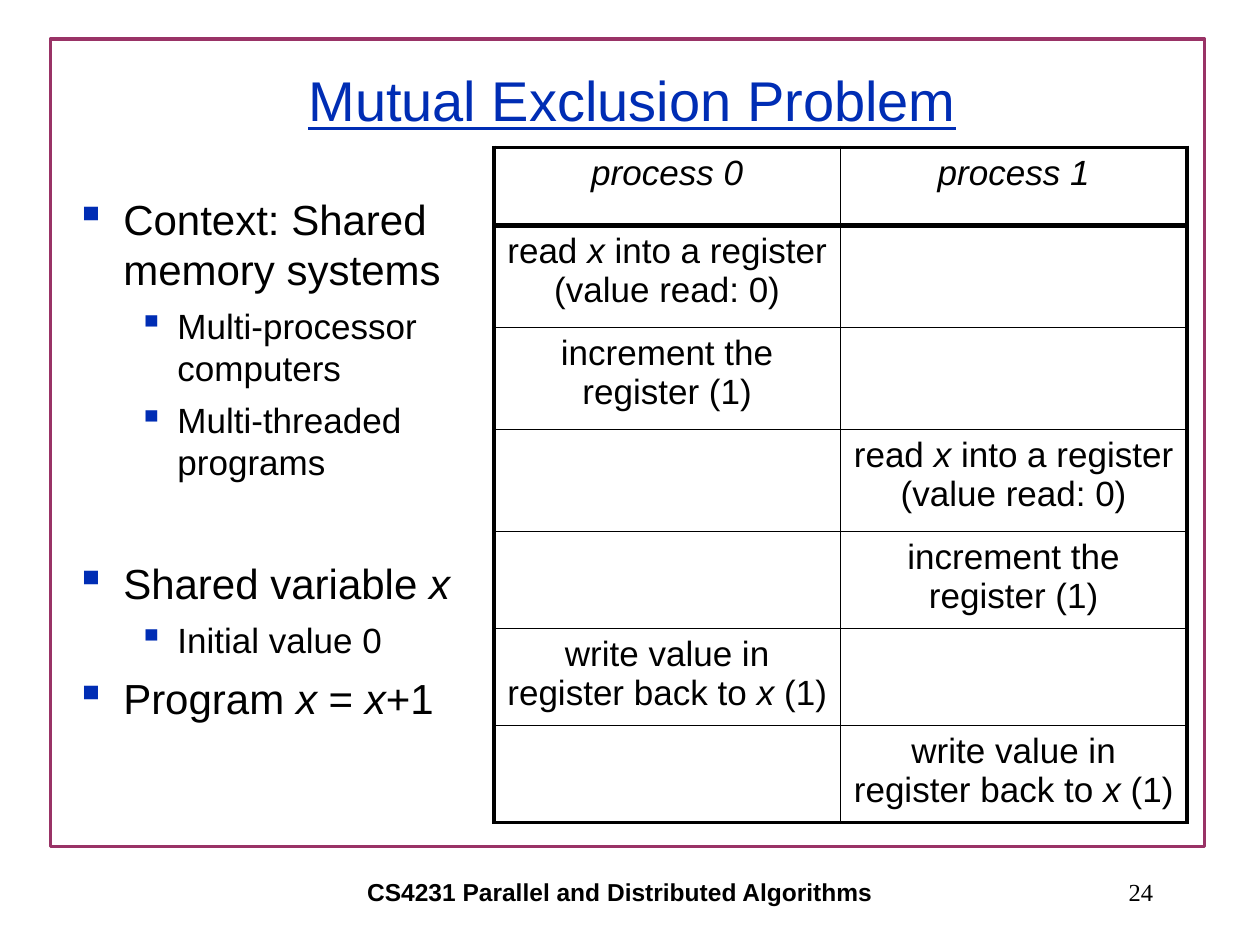
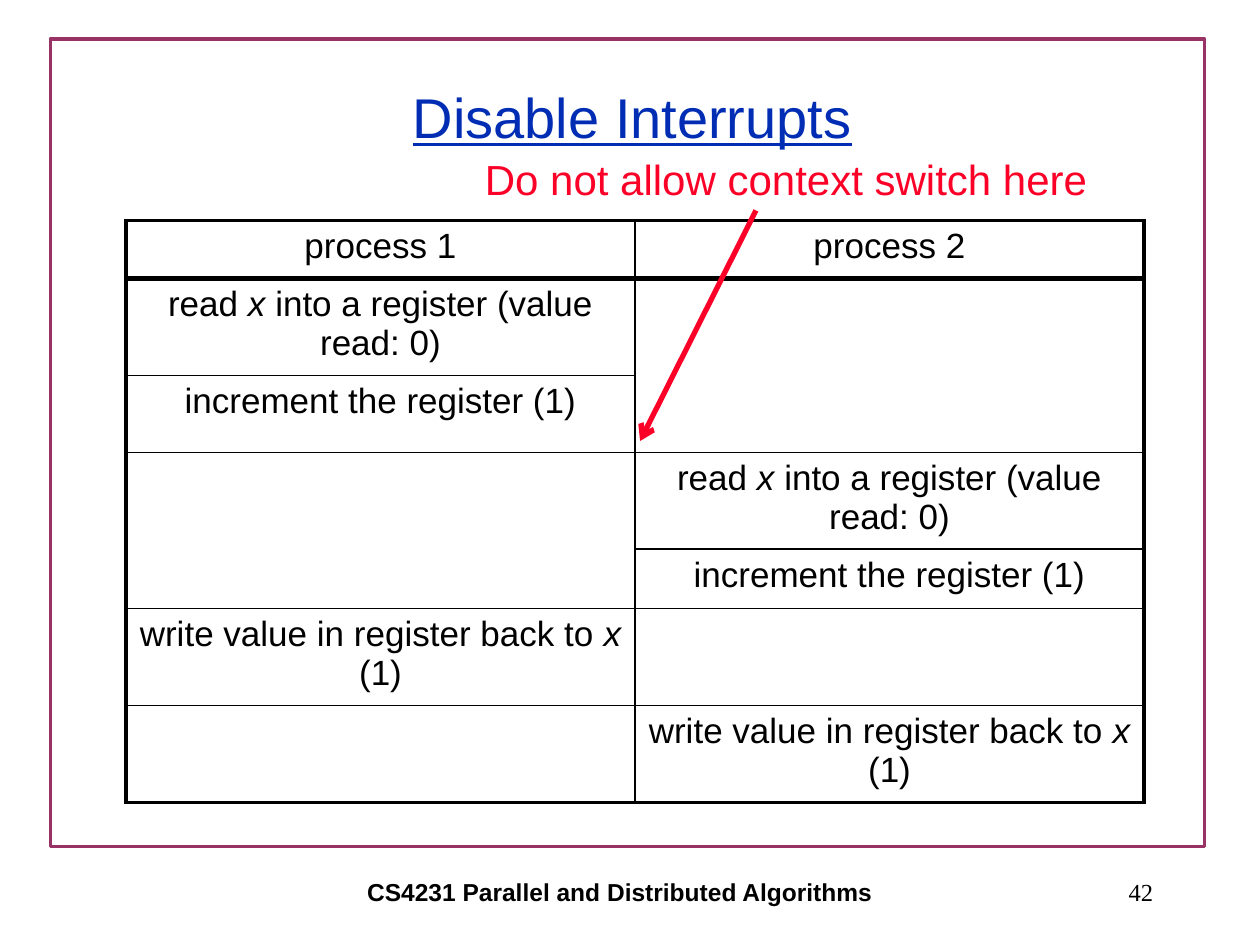
from dataclasses import dataclass

from lxml.etree import SubElement
from pptx import Presentation
from pptx.dml.color import RGBColor
from pptx.enum.shapes import MSO_CONNECTOR, MSO_SHAPE
from pptx.enum.text import MSO_ANCHOR, PP_ALIGN
from pptx.oxml import parse_xml
from pptx.oxml.ns import nsdecls, qn
from pptx.util import Emu, Pt

PX = 9144  # one px is a hundredth of an inch


def px(length):
    return Emu(length * PX)


@dataclass(frozen=True)
class Theme:
    ink: str = "000000"
    frame: str = "993366"
    accent: str = "002DB4"
    alert: str = "FC0128"
    sans: str = "Arial"
    serif: str = "Times New Roman"
    title_size: int = 32
    body_size: int = 24
    detail_size: int = 20
    footer_size: int = 14
    thin: float = 1
    outer: float = 2.25
    thick: float = 3


@dataclass(frozen=True)
class BulletLevel:
    size: int
    margin: int
    hanging: int
    line_height: float
    space_before: int


class Deck:
    def __init__(self, theme):
        self.theme = theme
        self.levels = (
            BulletLevel(theme.body_size, 38, 38, 28.5, 7),
            BulletLevel(theme.detail_size, 81, 31, 24, 6),
        )
        self.presentation = Presentation()
        self.presentation.slide_width = px(1000)
        self.presentation.slide_height = px(750)
        self.slide = None

    def new_slide(self, title, title_top, number):
        """Start a slide with its frame, title and footer."""
        theme = self.theme
        self.slide = self.presentation.slides.add_slide(self.presentation.slide_layouts[6])
        self.frame(40, 31, 916, 641)
        footer = dict(size=theme.footer_size, anchor=MSO_ANCHOR.MIDDLE)
        self.text((142, 683, 700, 50), "CS4231 Parallel and Distributed Algorithms",
                  align=PP_ALIGN.CENTER, bold=True, **footer)
        self.text((717, 683, 208, 50), str(number),
                  align=PP_ALIGN.RIGHT, name=theme.serif, **footer)
        self.text((77, title_top, 850, 92), title, align=PP_ALIGN.CENTER,
                  anchor=MSO_ANCHOR.MIDDLE, size=theme.title_size,
                  color=theme.accent, underline=True)

    def frame(self, *box):
        border = self.slide.shapes.add_shape(MSO_SHAPE.RECTANGLE, *map(px, box))
        border.shadow.inherit = False
        border.fill.background()
        border.line.color.rgb = RGBColor.from_string(self.theme.frame)
        border.line.width = Pt(2)

    def add_runs(self, paragraph, wording, size, color=None, **formats):
        """Add wording in which underscores enclose italic parts."""
        values = {"name": self.theme.sans, "size": Pt(size), **formats}
        for index, part in enumerate(wording.split("_")):
            if not part:
                continue
            run = paragraph.add_run()
            run.text = part
            for attribute, value in {**values, "italic": index % 2 == 1}.items():
                setattr(run.font, attribute, value)
            run.font.color.rgb = RGBColor.from_string(color or self.theme.ink)

    def text_frame(self, box, anchor=MSO_ANCHOR.TOP):
        frame = self.slide.shapes.add_textbox(*map(px, box)).text_frame
        frame.word_wrap = True
        frame.vertical_anchor = anchor
        return frame

    def text(self, box, wording, align=PP_ALIGN.LEFT, anchor=MSO_ANCHOR.TOP, **formats):
        paragraph = self.text_frame(box, anchor).paragraphs[0]
        paragraph.alignment = align
        self.add_runs(paragraph, wording, **formats)

    def bullets(self, box, items):
        """Each item is (level, wording, extra space before in points)."""
        frame = self.text_frame(box)
        for index, (depth, wording, extra) in enumerate(items):
            level = self.levels[depth]
            paragraph = frame.add_paragraph() if index else frame.paragraphs[0]
            properties = paragraph._p.get_or_add_pPr()
            properties.set("marL", str(px(level.margin)))
            properties.set("indent", str(-px(level.hanging)))
            color = SubElement(properties, qn("a:buClr"))
            SubElement(color, qn("a:srgbClr"), val=self.theme.accent)
            SubElement(properties, qn("a:buChar"), char="▪")
            paragraph.line_spacing = Pt(level.line_height)
            paragraph.space_before = Pt(level.space_before + extra if index else 0)
            self.add_runs(paragraph, wording, level.size)

    def table(self, left, top, column_width, row_heights, rows, merges=()):
        theme = self.theme
        columns = len(rows[0])
        grid = self.slide.shapes.add_table(
            len(rows), columns, px(left), px(top),
            px(column_width * columns), px(sum(row_heights))).table
        grid.first_row = grid.horz_banding = False
        for column in grid.columns:
            column.width = px(column_width)
        for row, height in zip(grid.rows, row_heights):
            row.height = px(height)

        # Outer edges are heavy, the rule under the header heaviest
        across = [theme.outer, theme.thick] + [theme.thin] * (len(rows) - 2) + [theme.outer]
        down = [theme.outer] + [theme.thin] * (columns - 1) + [theme.outer]
        for r, wordings in enumerate(rows):
            for c, wording in enumerate(wordings):
                cell = grid.cell(r, c)
                cell.fill.background()
                self.cell_borders(cell, L=down[c], R=down[c + 1], T=across[r], B=across[r + 1])
                if wording:
                    paragraph = cell.text_frame.paragraphs[0]
                    paragraph.alignment = PP_ALIGN.CENTER
                    self.add_runs(paragraph, wording, theme.detail_size)
        for first, last in merges:
            grid.cell(*first).merge(grid.cell(*last))

    def cell_borders(self, cell, **widths):
        properties = cell._tc.get_or_add_tcPr()
        for index, (side, width) in enumerate(widths.items()):
            properties.insert(index, parse_xml(
                f'<a:ln{side} {nsdecls("a")} w="{Pt(width)}"><a:solidFill>'
                f'<a:srgbClr val="{self.theme.ink}"/></a:solidFill></a:ln{side}>'))

    def arrow(self, start, end):
        pointer = self.slide.shapes.add_connector(
            MSO_CONNECTOR.STRAIGHT, *map(px, (*start, *end)))
        pointer.line.color.rgb = RGBColor.from_string(self.theme.alert)
        pointer.line.width = Pt(self.theme.thick)
        SubElement(pointer.line._get_or_add_ln(), qn("a:tailEnd"), type="arrow")
        SubElement(pointer._element.spPr, qn("a:effectLst"))


READ = "read _x _into a register (value read: 0)"
INCREMENT = "increment the register (1)"
WRITE_BACK = "write value in register back to _x _(1)"


def mutual_exclusion(deck):
    deck.new_slide("Mutual Exclusion Problem", 33, 24)

    # Context and shared variable
    deck.bullets((50, 149, 358, 511), [
        (0, "Context: Shared memory systems", 0),
        (1, "Multi-processor computers", 0),
        (1, "Multi-threaded programs", 0),
        (0, "Shared variable _x_", 36),
        (1, "Initial value 0", 0),
        (0, "Program _x_ = _x_+1", 0),
    ])

    # Interleaving that loses an increment
    deck.table(392, 117, 275, [62, 81, 81, 81, 77, 77, 77], [
        ("_process 0_", "_process 1_"),
        (READ, ""),
        (INCREMENT, ""),
        ("", READ),
        ("", INCREMENT),
        (WRITE_BACK, ""),
        ("", WRITE_BACK),
    ])


def disable_interrupts(deck):
    deck.new_slide("Disable Interrupts", 46, 42)

    # Interleaving to prevent
    deck.table(100, 175, 404, [46, 77, 61, 77, 47, 77, 77], [
        ("process 1", "process 2"),
        (READ, ""),
        (INCREMENT, ""),
        ("", READ),
        ("", INCREMENT),
        (WRITE_BACK, ""),
        ("", WRITE_BACK),
    ], merges=[((1, 1), (2, 1)), ((3, 0), (4, 0))])

    # Warning at the context switch
    deck.text((375, 117, 550, 50), "Do not allow context switch here",
              size=deck.theme.body_size, color=deck.theme.alert)
    deck.arrow((600, 167), (508, 350))


def main():
    deck = Deck(Theme())
    mutual_exclusion(deck)
    disable_interrupts(deck)
    deck.presentation.save("out.pptx")


if __name__ == "__main__":
    main()
